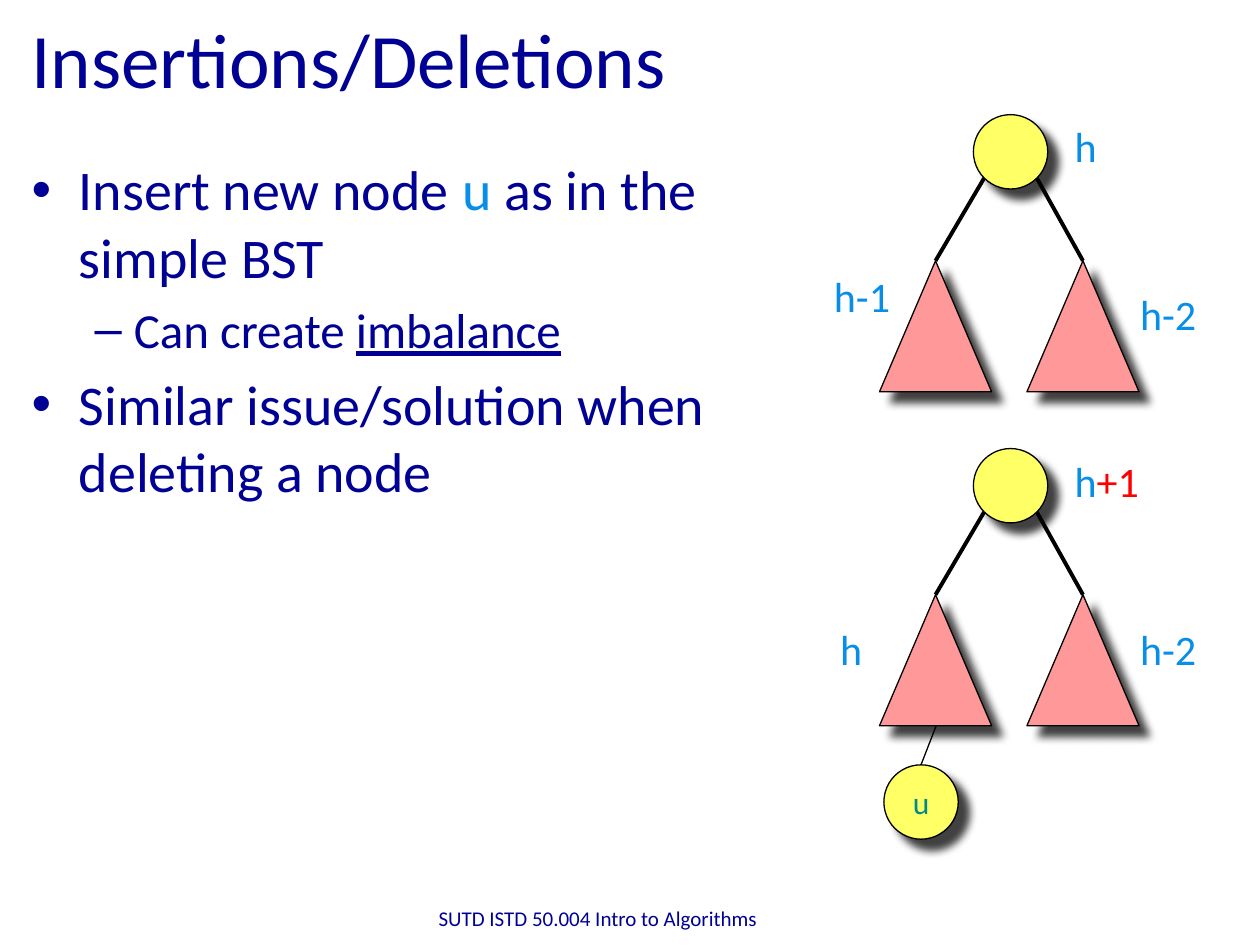
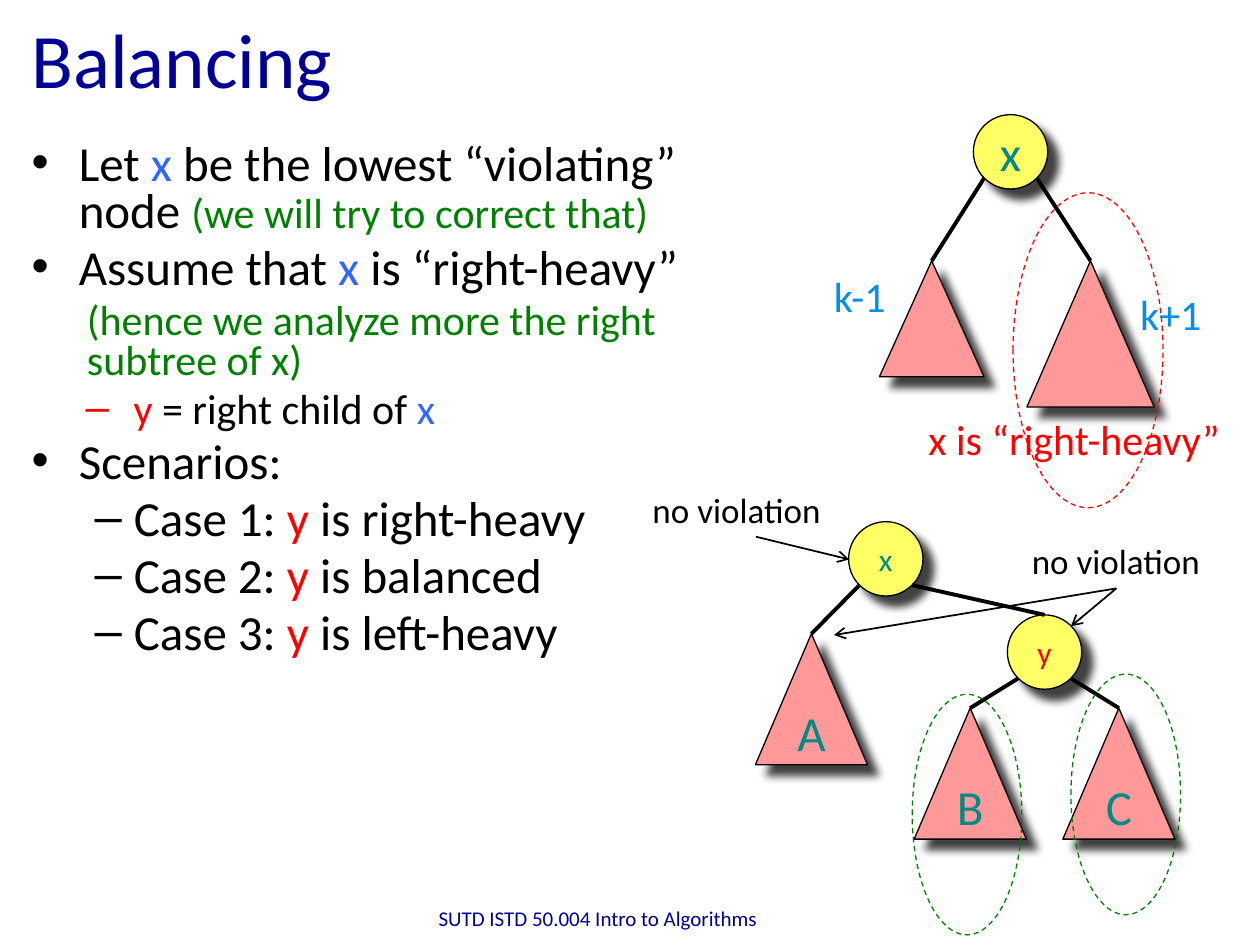
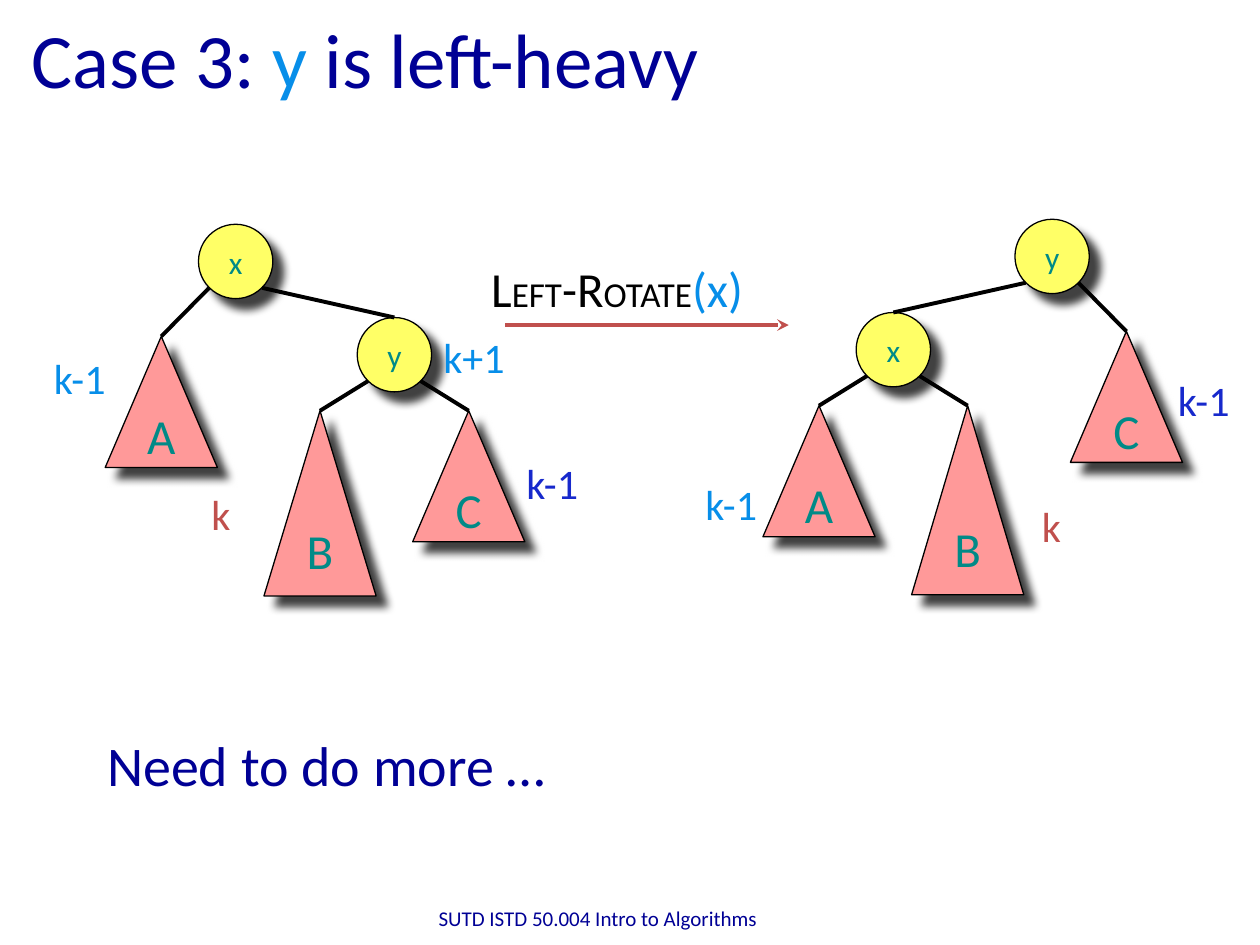
import pptx
import pptx.util
import pptx.dml.color
import pptx.enum.dml
import pptx.enum.shapes
import pptx.enum.text
import pptx.oxml
import pptx.oxml.ns

COLORS = {
    "navy": "000095", "sky": "078EE9", "blue": "3366FF", "royal": "1729CC",
    "teal": "008A87", "green": "008000", "red": "FF0000", "brick": "C0504D",
    "black": "000000", "yellow": "FFFF66", "pink": "FF9999",
}
FONT = "Calibri"
FOOTER = "SUTD ISTD 50.004 Intro to Algorithms"
NODE = 0.59
LEAF = (0.89, 1.04)
LABEL_HEIGHT = {20: 0.44, 24: 0.5, 28: 0.57}

INSERTIONS = {
    "title": [("Insertions/Deletions", "navy")],
    "body_area": (0.15, 1.18, 6, 4.5),
    "body": [
        {"size": 32, "runs": [("Insert new node ", "navy"), ("u", "sky"),
                              (" as in the simple BST", "navy")]},
        {"size": 28, "level": 1, "runs": [("Can create ", "navy"),
                                          ("imbalance", "navy", "underline")]},
        {"size": 32, "runs": [("Similar issue/solution when deleting a node", "navy")]},
    ],
    "labels": [
        (8.43, 0.91, 0.37, [("h", "sky")]),
        (6.52, 2.1, 0.65, [("h-1", "sky")]),
        (8.95, 2.24, 0.65, [("h-2", "sky")]),
        (8.43, 3.57, 0.71, [("h", "sky"), ("+1", "red")]),
        (6.57, 4.9, 0.37, [("h", "sky")]),
        (8.95, 4.9, 0.65, [("h-2", "sky")]),
    ],
}

BALANCING = {
    "title": [("Balancing", "navy")],
    "body_area": (0.15, 1.09, 5.84, 5.75),
    "spacing": 0.8,
    "body": [
        {"size": 28, "runs": [("Let ", "black"), ("x", "blue"),
                              (" be the lowest “violating” node ", "black"),
                              ("(we will try to correct that)", "green", 24)]},
        {"size": 28, "runs": [("Assume that ", "black"), ("x ", "blue"),
                              ("is “right-heavy”", "black")]},
        {"size": 24, "level": 1, "indent": (0.44, 0), "plain": True,
         "runs": [("(hence we analyze more the right subtree of x)", "green")]},
        {"size": 24, "level": 1, "indent": (0.81, -0.38),
         "runs": [("y", "red"), (" = right child of ", "black"), ("x", "blue")]},
        {"size": 28, "runs": [("Scenarios:", "black")]},
    ] + [
        {"size": 28, "level": 1, "runs": [(f"Case {number}: ", "black"), ("y", "red"),
                                          (f" is {state}", "black")]}
        for number, state in enumerate(("right-heavy", "balanced", "left-heavy"), 1)
    ],
    "labels": [
        (6.52, 2.1, 0.63, [("k-1", "sky")]),
        (8.95, 2.24, 0.69, [("k+1", "sky")]),
        (7.27, 3.23, 2.54, [("x is “right-heavy”", "red")]),
        (8.09, 4.23, 1.55, [("no violation", "black", 20)]),
        (5.08, 3.83, 1.55, [("no violation", "black", 20)]),
    ],
    "rings": [(8.04, 1.53, 1.19, 2.5, "red"), (8.5, 5.35, 0.87, 1.91, "green"),
              (7.24, 5.51, 0.87, 1.91, "green")],
    "arrows": [((8.86, 4.67), (6.62, 5.04)), ((8.86, 4.67), (8.5, 4.97)),
               ((6, 4.26), (6.74, 4.44))],
}

LEFT_HEAVY = {
    "title": [("Case 3: ", "navy"), ("y ", "sky"), ("is left-heavy", "navy")],
    "body_area": (0.75, 5.75, 8.5, 0.92),
    "body": [{"size": 32, "plain": True, "runs": [("Need to do more …", "navy")]}],
    "labels": [
        (3.8, 2, 2.69, [("L", "black", 28), ("EFT", "black", 20), ("-R", "black", 28),
                        ("OTATE", "black", 20), ("(x)", "sky", 28)]),
        (0.33, 2.75, 0.65, [("k-1", "sky")]),
        (3.42, 2.58, 0.72, [("k+1", "sky")]),
        (4.08, 3.58, 0.65, [("k-1", "royal")]),
        (1.58, 3.83, 0.37, [("k", "brick")]),
        (5.5, 3.75, 0.65, [("k-1", "sky")]),
        (8.17, 3.92, 0.37, [("k", "brick")]),
        (9.25, 2.92, 0.65, [("k-1", "royal")]),
    ],
}

inch = pptx.util.Inches
ShapeKind = pptx.enum.shapes.MSO_SHAPE
Align = pptx.enum.text.PP_ALIGN
Anchor = pptx.enum.text.MSO_ANCHOR
AutoSize = pptx.enum.text.MSO_AUTO_SIZE


def rgb(name):
    return pptx.dml.color.RGBColor.from_string(COLORS[name])


def add_xml(parent, markup):
    namespace = pptx.oxml.ns.nsdecls("a")
    tag, rest = markup[1:].split("|", 1)
    parent.append(pptx.oxml.parse_xml(f"<{tag} {namespace}{rest}"))


def write(paragraph, runs, size):
    paragraph.font.name = FONT
    for text, color, *options in runs:
        span = paragraph.add_run()
        span.text = text
        span.font.color.rgb = rgb(color)
        span.font.size = pptx.util.Pt(size)
        for option in options:
            if option == "underline":
                span.font.underline = True
            else:
                span.font.size = pptx.util.Pt(option)


def place(shape, area):
    shape.left, shape.top, shape.width, shape.height = map(inch, area)


def add_label(page, left, top, width, runs):
    size = max([run[2] for run in runs if len(run) > 2], default=24)
    box = page.shapes.add_textbox(*map(inch, (left, top, width, LABEL_HEIGHT[size])))
    box.text_frame.word_wrap = False
    box.text_frame.auto_size = AutoSize.SHAPE_TO_FIT_TEXT
    write(box.text_frame.paragraphs[0], runs, size)


def add_line(page, start, end, color="black", weight=2.25, arrow=None):
    line = page.shapes.add_connector(
        pptx.enum.shapes.MSO_CONNECTOR.STRAIGHT, *map(inch, (*start, *end)))
    line.line.color.rgb = rgb(color)
    line.line.width = pptx.util.Pt(weight)
    if arrow:
        add_xml(line.line._get_or_add_ln(), f'<a:tailEnd| type="{arrow}"/>')
    add_xml(line._element.spPr, "<a:effectLst|/>")


def add_part(page, kind, x, top, width, height, fill, text, size, color):
    part = page.shapes.add_shape(kind, *map(inch, (x - width / 2, top, width, height)))
    part.fill.solid()
    part.fill.fore_color.rgb = rgb(fill)
    part.line.color.rgb = rgb("black")
    part.line.width = pptx.util.Pt(0.75)
    add_xml(part._element.spPr,
            '<a:effectLst|><a:outerShdw blurRad="63500" dist="107950" dir="2700000">'
            '<a:srgbClr val="000000"><a:alpha val="75000"/></a:srgbClr>'
            '</a:outerShdw></a:effectLst>')
    if text:
        frame = part.text_frame
        frame.word_wrap = False
        frame.vertical_anchor = Anchor.MIDDLE
        frame.paragraphs[0].alignment = Align.CENTER
        write(frame.paragraphs[0], [(text, color)], size)


def add_node(page, x, top, text="", size=18, color="teal"):
    add_part(page, ShapeKind.OVAL, x, top, NODE, NODE, "yellow", text, size, color)


def add_leaf(page, x, top, text="", size=LEAF):
    add_part(page, ShapeKind.ISOSCELES_TRIANGLE, x, top, *size, "pink", text, 28, "teal")


def add_edge(page, node, child):
    reach = NODE / 2 * 0.71
    side = 1 if child[0] > node[0] else -1
    add_line(page, (node[0] + side * reach, node[1] + NODE / 2 + reach), child)


def add_simple_tree(page, top, text="", sizes=(LEAF, LEAF)):
    root = (8.02, top)
    add_node(page, *root, text, 28)
    for left, size in zip((6.98, 8.15), sizes):
        leaf = (left + size[0] / 2, top + 1.16)
        add_edge(page, root, leaf)
        add_leaf(page, *leaf, size=size)


def add_rotation_tree(page, root, side, names, outer, inner, tall=LEAF, child_color="teal"):
    child = (root[0] + side * 1.26, root[1] + 0.74)
    add_node(page, *child, names[1], color=child_color)
    add_node(page, *root, names[0])
    add_edge(page, root, child)
    leaves = [(root, -side, 0.89, outer)]
    leaves += [(child, direction, 0.74, name) for direction, name in zip((-1, 1), inner)]
    for parent, direction, drop, name in leaves:
        leaf = (parent[0] + direction * NODE, parent[1] + drop)
        add_edge(page, parent, leaf)
        add_leaf(page, *leaf, name, tall if name == "B" else LEAF)


def add_page(deck, content):
    page = deck.slides.add_slide(deck.slide_layouts[1])
    title, body = page.placeholders
    place(title, (0.15, 0.03, 9, 0.85))
    title.text_frame.vertical_anchor = Anchor.MIDDLE
    title.text_frame.paragraphs[0].alignment = Align.LEFT
    write(title.text_frame.paragraphs[0], content["title"], 44)

    place(body, content["body_area"])
    body.text_frame.auto_size = AutoSize.NONE
    for index, item in enumerate(content["body"]):
        frame = body.text_frame
        paragraph = frame.add_paragraph() if index else frame.paragraphs[0]
        paragraph.level = item.get("level", 0)
        if "spacing" in content:
            paragraph.line_spacing = content["spacing"]
        properties = paragraph._p.get_or_add_pPr()
        if "indent" in item:
            for name, length in zip(("marL", "indent"), item["indent"]):
                properties.set(name, str(inch(length)))
        if item.get("plain"):
            add_xml(properties, "<a:buNone|/>")
        write(paragraph, item["runs"], item["size"])

    footer = page.shapes.add_textbox(*map(inch, (3.16, 7.09, 3.17, 0.4)))
    footer.text_frame.word_wrap = True
    footer.text_frame.vertical_anchor = Anchor.MIDDLE
    footer.text_frame.paragraphs[0].alignment = Align.CENTER
    write(footer.text_frame.paragraphs[0], [(FOOTER, "navy")], 12)
    return page


def add_notes_on_trees(page, content):
    for *area, color in content.get("rings", []):
        ring = page.shapes.add_shape(ShapeKind.OVAL, *map(inch, area))
        ring.shadow.inherit = False
        ring.fill.background()
        ring.line.color.rgb = rgb(color)
        ring.line.width = pptx.util.Pt(0.75)
        ring.line.dash_style = pptx.enum.dml.MSO_LINE.DASH
    for label in content["labels"]:
        add_label(page, *label)
    for start, end in content.get("arrows", []):
        add_line(page, start, end, weight=1, arrow="arrow")


def main():
    deck = pptx.Presentation()
    deck.slide_width, deck.slide_height = inch(10), inch(7.5)

    page = add_page(deck, INSERTIONS)
    add_simple_tree(page, 0.91)
    add_simple_tree(page, 3.56)
    add_node(page, 7.31, 6.07, "u")
    add_line(page, (7.31, 6.07), (7.43, 5.76), weight=0.75)
    add_notes_on_trees(page, INSERTIONS)

    page = add_page(deck, BALANCING)
    add_rotation_tree(page, (7.03, 4.14), 1, "xy", "A", "BC", child_color="red")
    add_simple_tree(page, 0.91, "x", ((0.83, 0.92), (1.01, 1.16)))
    add_notes_on_trees(page, BALANCING)

    page = add_page(deck, LEFT_HEAVY)
    add_rotation_tree(page, (1.87, 1.78), 1, "xy", "A", "BC", (0.89, 1.47))
    add_rotation_tree(page, (8.35, 1.74), -1, "yx", "C", "AB", (0.89, 1.5))
    add_line(page, (4.01, 2.58), (6.26, 2.58), "brick", arrow="stealth")
    add_notes_on_trees(page, LEFT_HEAVY)

    deck.save("out.pptx")


if __name__ == "__main__":
    main()
